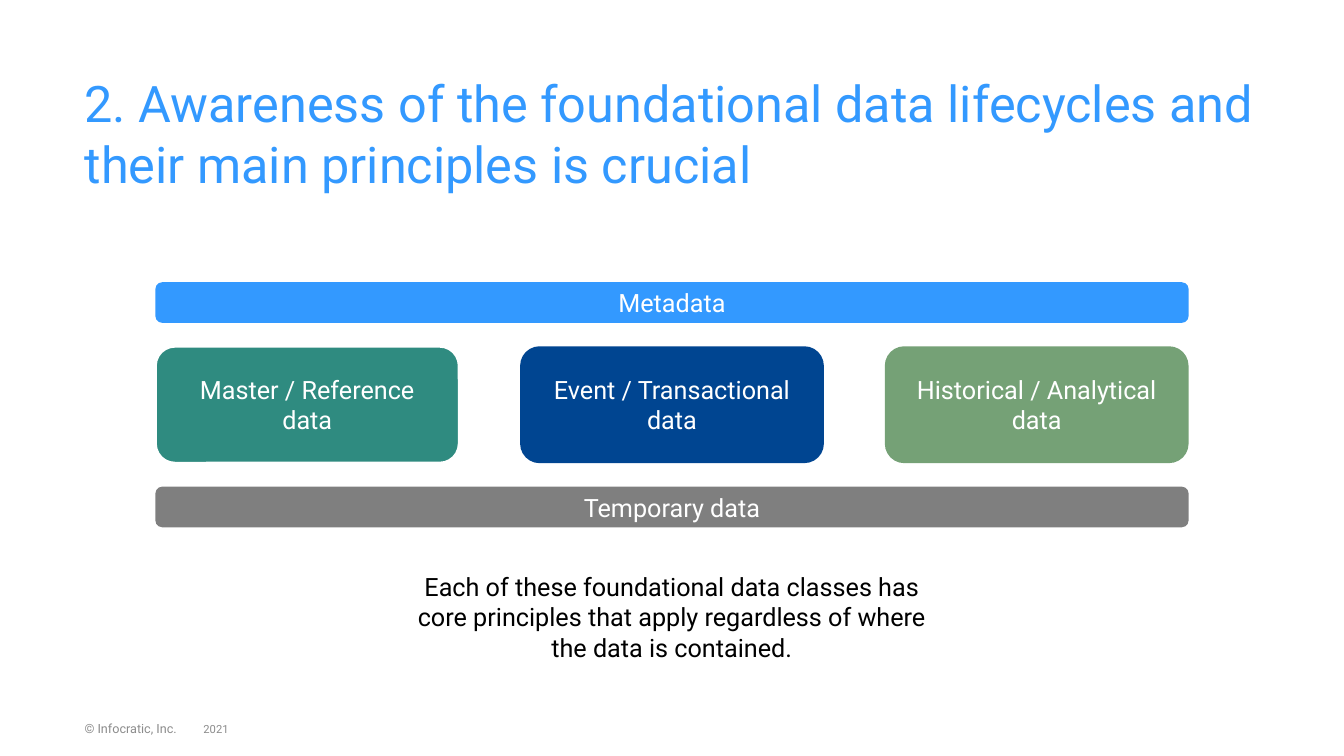
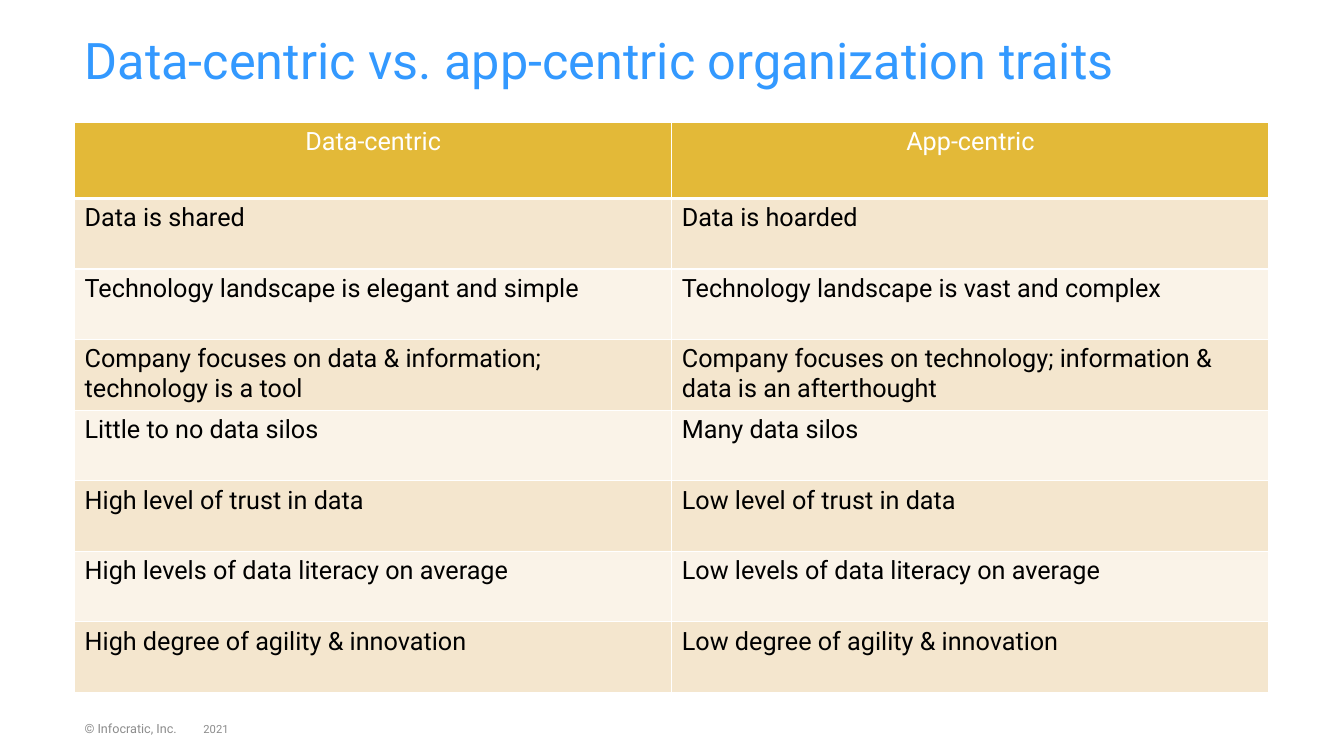
from lxml import etree
from pptx import Presentation
from pptx.dml import color as dml
from pptx.enum import shapes, text
from pptx.oxml import ns
from pptx.util import Pt

FONT = "Roboto"
BLUE, WHITE, BLACK, GREY = "3399FF", "FFFFFF", "000000", "8C8C8C"
TEAL, NAVY, SAGE = "2F8B80", "004591", "75A176"
GOLD, SAND, CREAM = "E3B938", "F4E6CE", "FAF3E8"
MARGIN = 53.28
LEFT, CENTER = text.PP_ALIGN.LEFT, text.PP_ALIGN.CENTER
TOP, MIDDLE = text.MSO_ANCHOR.TOP, text.MSO_ANCHOR.MIDDLE

DATA_CLASSES = [
    ("Master / Reference\ndata", TEAL),
    ("Event / Transactional\ndata", NAVY),
    ("Historical / Analytical\ndata", SAGE),
]
TRAITS = [
    ("Data-centric", "App-centric"),
    ("Data is shared", "Data is hoarded"),
    ("Technology landscape is elegant and simple",
     "Technology landscape is vast and complex"),
    ("Company focuses on data & information; technology is a tool",
     "Company focuses on technology; information & data is an afterthought"),
    ("Little to no data silos", "Many data silos"),
    ("High level of trust in data", "Low level of trust in data"),
    ("High levels of data literacy on average",
     "Low levels of data literacy on average"),
    ("High degree of agility & innovation", "Low degree of agility & innovation"),
]


def rgb(value):
    return dml.RGBColor.from_string(value)


def paint(target, value):
    target.fill.solid()
    target.fill.fore_color.rgb = rgb(value)


def write(frame, words, size, color, align=LEFT):
    frame.text = words
    frame.word_wrap = True
    for para in frame.paragraphs:
        para.alignment = align
        para.line_spacing = 1.0
        for span in para.runs:
            span.font.name = FONT
            span.font.size = Pt(size)
            span.font.bold = False
            span.font.color.rgb = rgb(color)


def add_label(page, words, left, top, width, height, size, color,
              align=LEFT, anchor=TOP):
    box = page.shapes.add_textbox(Pt(left), Pt(top), Pt(width), Pt(height))
    write(box.text_frame, words, size, color, align)
    box.text_frame.vertical_anchor = anchor


def add_page(deck, heading, top, height):
    """Add a slide with the shared title style and footer."""
    page = deck.slides.add_slide(deck.slide_layouts[5])
    title = page.shapes.title
    title.left, title.top = Pt(MARGIN), Pt(top)
    title.width, title.height = Pt(881.28), Pt(height)
    write(title.text_frame, heading, 36, BLUE)
    title.text_frame.auto_size = text.MSO_AUTO_SIZE.NONE
    title.text_frame.vertical_anchor = TOP
    add_label(page, "© Infocratic, Inc.", MARGIN, 506.16, 95, 28.8, 9, GREY,
              anchor=MIDDLE)
    add_label(page, "2021", 138.24, 506.16, 88.56, 28.8, 8, GREY, anchor=MIDDLE)
    return page


def add_block(group, words, left, top, width, height, fill):
    block = group.shapes.add_shape(shapes.MSO_SHAPE.ROUNDED_RECTANGLE,
                                   Pt(left), Pt(top), Pt(width), Pt(height))
    block.shadow.inherit = False
    paint(block, fill)
    block.line.fill.background()
    write(block.text_frame, words, 18, WHITE, CENTER)
    block.text_frame.vertical_anchor = MIDDLE
    return block


def make_translucent(shape, percent):
    fill = shape._element.spPr.find(ns.qn("a:solidFill"))
    etree.SubElement(fill[0], ns.qn("a:alpha"), val=str(percent * 1000))


def add_data_classes(page, left, top, width, height):
    """Draw a row of blocks between two full-width bars."""
    bar_height, block_width, block_height = 29, 217, 83.5
    row_gap = (height - 2 * bar_height - block_height) / 2
    step = (width - block_width) / (len(DATA_CLASSES) - 1)
    group = page.shapes.add_group_shape()
    for index, (words, fill) in enumerate(DATA_CLASSES):
        block = add_block(group, words, left + index * step,
                          top + bar_height + row_gap,
                          block_width, block_height, fill)
        if index == 0:
            block.line.color.rgb = rgb(WHITE)
            block.line.width = Pt(2)
    temporary = add_block(group, "Temporary data", left,
                          top + height - bar_height, width, bar_height, BLACK)
    make_translucent(temporary, 50)
    add_block(group, "Metadata", left, top, width, bar_height, BLUE)


def set_borders(cell, **widths):
    """Give a cell white borders; widths are in points, by side L, R, T, B."""
    properties = cell._tc.get_or_add_tcPr()
    for side, width in widths.items():
        line = etree.SubElement(properties, ns.qn(f"a:ln{side}"), w=str(Pt(width)))
        fill = etree.SubElement(line, ns.qn("a:solidFill"))
        etree.SubElement(fill, ns.qn("a:srgbClr"), val=WHITE)


def add_traits(page, left, top, width, header_height, row_height):
    height = header_height + row_height * (len(TRAITS) - 1)
    table = page.shapes.add_table(len(TRAITS), 2, Pt(left), Pt(top),
                                  Pt(width), Pt(height)).table
    for column in table.columns:
        column.width = Pt(width / 2)
    for index, traits in enumerate(TRAITS):
        header = index == 0
        table.rows[index].height = Pt(header_height if header else row_height)
        fill = GOLD if header else (SAND if index % 2 else CREAM)
        for column, words in enumerate(traits):
            cell = table.cell(index, column)
            set_borders(cell, L=1, R=1, T=3 if index == 1 else 1,
                        B=3 if header else 1)
            paint(cell, fill)
            write(cell.text_frame, words, 18, WHITE if header else BLACK,
                  CENTER if header else LEFT)


def build_lifecycles(deck):
    page = add_page(deck, "2. Awareness of the foundational data lifecycles "
                    "and their main principles is crucial", 48.24, 110.88)
    add_data_classes(page, 111, 201.6, 738, 175)
    add_label(page, "Each of these foundational data classes has core principles "
              "that apply regardless of where the data is contained.",
              282.24, 404.64, 395.28, 72.72, 18, BLACK, CENTER)


def build_traits(deck):
    page = add_page(deck, "Data-centric vs. app-centric organization traits",
                    17.28, 58.32)
    add_traits(page, MARGIN, 87.4, 853.2, 54.4, 50.4)


def main():
    deck = Presentation()
    deck.slide_width, deck.slide_height = Pt(960), Pt(540)
    build_lifecycles(deck)
    build_traits(deck)
    deck.save("out.pptx")


if __name__ == "__main__":
    main()
